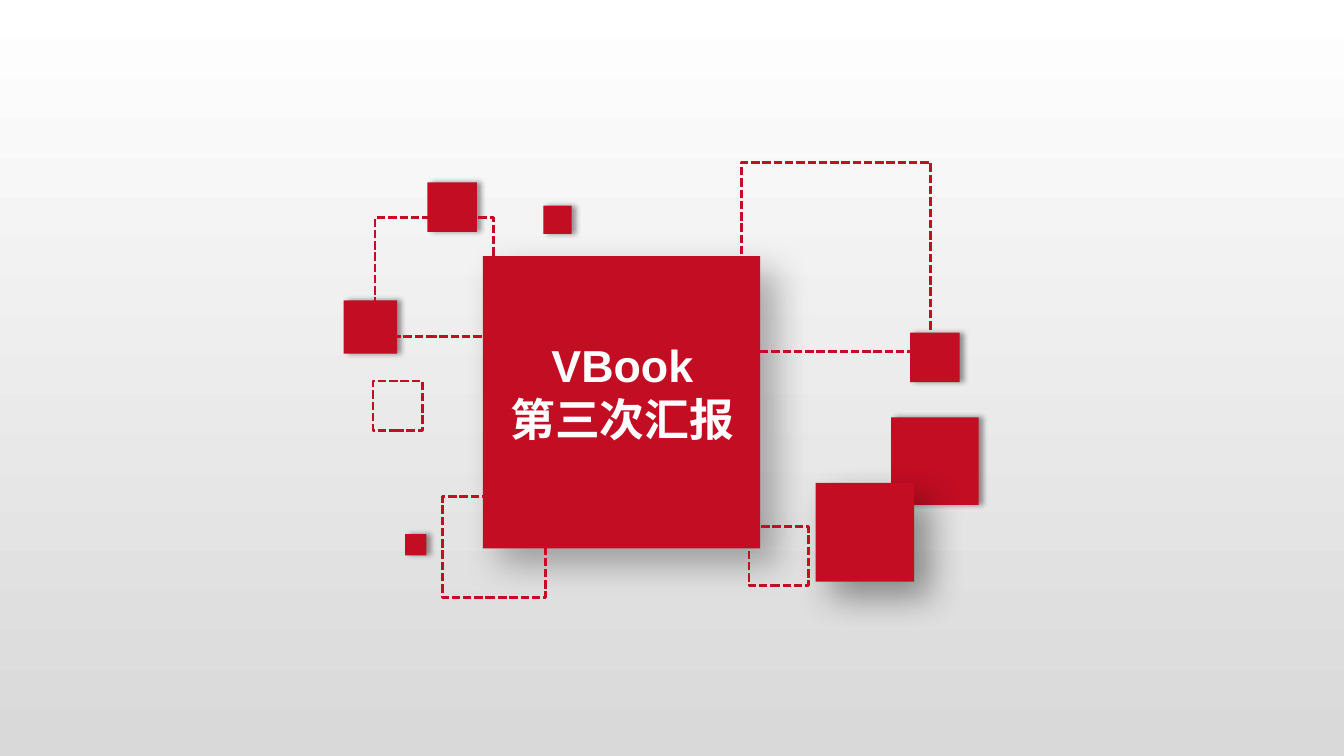
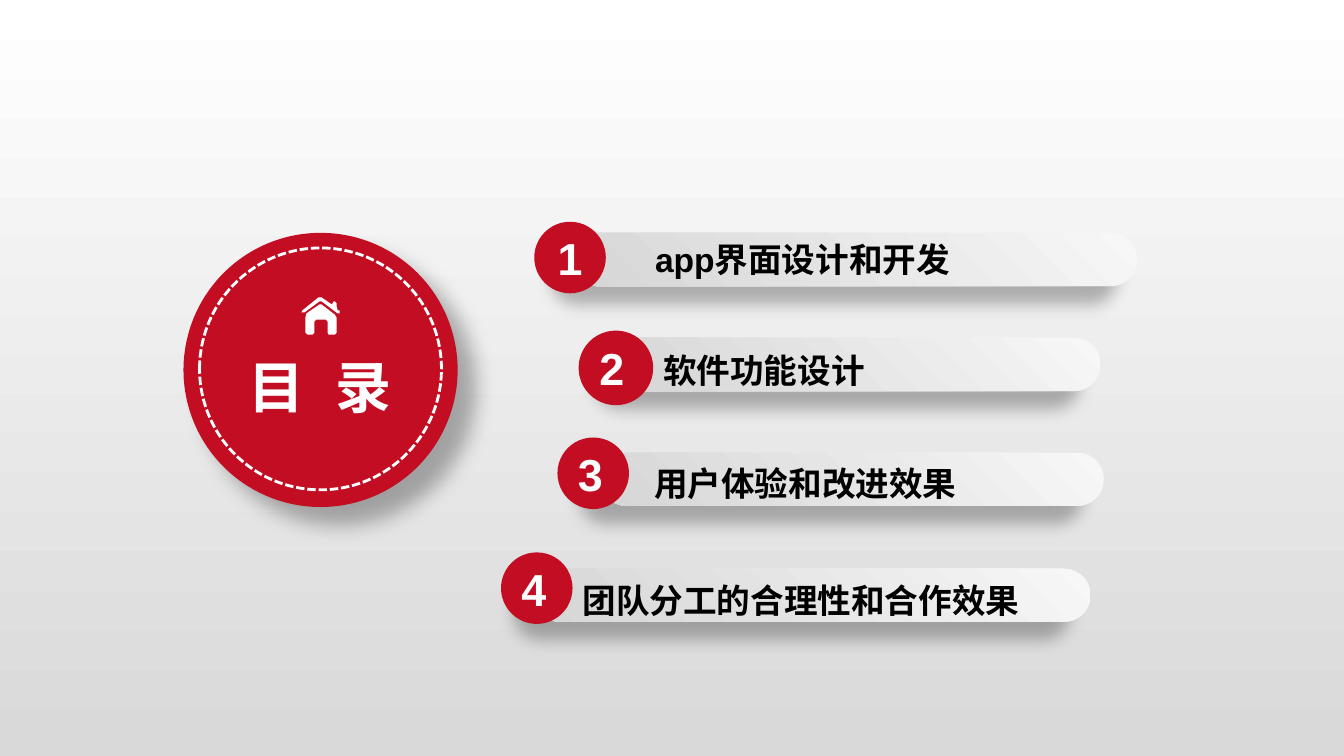
"""Builds a red-and-grey cover slide and its contents slide."""
from dataclasses import dataclass
from typing import Optional

from lxml import etree
from pptx import Presentation
from pptx.dml.color import RGBColor
from pptx.enum.dml import MSO_LINE
from pptx.enum.shapes import MSO_SHAPE
from pptx.enum.text import MSO_ANCHOR, PP_ALIGN
from pptx.oxml.ns import qn
from pptx.util import Inches, Pt

RECT, OVAL, PILL = MSO_SHAPE.RECTANGLE, MSO_SHAPE.OVAL, MSO_SHAPE.ROUNDED_RECTANGLE
LEFT, CENTER = PP_ALIGN.LEFT, PP_ALIGN.CENTER
TOP, MIDDLE = MSO_ANCHOR.TOP, MSO_ANCHOR.MIDDLE
DASH = MSO_LINE.SQUARE_DOT

COLORS = {
    "red": "C30D23", "white": "FFFFFF", "black": "000000",
    "page_end": "D9D9D9", "bar_start": "D6D6D6", "bar_end": "F7F7F7",
}
FONT = "Arial"
CELL = Inches(0.1)
COLUMNS, ROWS = 133.33, 75
BLANK = 6
BAR_HEIGHT, LABEL_HEIGHT = 5.3, 5.2


@dataclass(frozen=True)
class Box:
    """A rectangle in grid columns and rows."""
    left: float
    top: float
    width: float
    height: float

    def emu(self) -> tuple:
        """Return left, top, width and height as slide lengths."""
        return tuple(round(n * CELL) for n in (self.left, self.top, self.width, self.height))


@dataclass(frozen=True)
class Shadow:
    """An outer shadow: opacity in percent, blur and distance in points, angle in degrees."""
    opacity: int
    blur: float
    distance: float
    angle: int


@dataclass(frozen=True)
class Entry:
    """One line of the contents: bar, numbered disc and label."""
    bar_left: float
    bar_top: float
    bar_width: float
    disc: Box
    label_left: float
    label_top: float
    label_width: float
    text: str
    align: PP_ALIGN = LEFT


DEEP, SOFT = Shadow(30, 26, 16, 45), Shadow(40, 4, 3, 0)
DEEPER = Shadow(40, 26, 16, 45)
DISC_SHADOW, BAR_SHADOW = Shadow(30, 15, 18, 45), Shadow(28, 11.8, 19.7, 141)

SOLID_SQUARES = (
    (Box(47.9, 25.4, 27.5, 29), DEEP),
    (Box(88.4, 41.4, 8.7, 8.7), SOFT),
    (Box(80.9, 47.9, 9.8, 9.8), DEEPER),
    (Box(90.3, 33, 4.9, 4.9), SOFT),
    (Box(53.9, 20.4, 2.8, 2.8), SOFT),
    (Box(40.2, 53, 2.1, 2.1), SOFT),
    (Box(34.1, 29.8, 5.3, 5.3), SOFT),
    (Box(42.4, 18.1, 4.9, 4.9), SOFT),
)
DASHED_SQUARES = (
    Box(73.6, 16.1, 18.7, 18.8),
    Box(43.9, 49.3, 10.2, 10),
    Box(74.3, 52.2, 5.9, 5.9),
    Box(37, 37.8, 4.9, 4.9),
    Box(37.2, 21.6, 11.8, 11.8),
)
ENTRIES = (
    Entry(56.8, 23.1, 56, Box(53, 22, 7.1, 7.1), 64, 23.1, 35.7, "app界面设计和开发", CENTER),
    Entry(61.1, 33.5, 48.1, Box(57.4, 32.8, 7.4, 7.4), 64.8, 34.1, 39.4, "软件功能设计"),
    Entry(59.6, 44.9, 49.9, Box(55.3, 43.4, 7.1, 7.1), 63.9, 45.3, 39.4, "用户体验和改进效果"),
    Entry(53, 56.4, 55.2, Box(49.7, 54.8, 7.1, 7.1), 56.8, 56.9, 45.7, "团队分工的合理性和合作效果"),
)
HOUSE_WALLS = (
    (319, 302), (317, 302), (304, 311), (303, 315), (303, 330), (305, 332), (310, 332),
    (312, 330), (312, 319), (314, 317), (323, 317), (325, 319), (325, 330), (326, 332),
    (332, 332), (334, 330), (334, 315), (332, 312),
)
HOUSE_ROOF = (
    (335, 308), (334, 304), (334, 301), (332, 299), (331, 299), (330, 301), (329, 302),
    (319, 295), (316, 295), (300, 308), (299, 310), (302, 310), (317, 299), (319, 299),
    (335, 311), (337, 311), (337, 308),
)


def rgb(name: str) -> RGBColor:
    """Return a named colour."""
    return RGBColor.from_string(COLORS[name])


def set_gradient(fill, start: str, end: str, end_position: float) -> None:
    """Give a fill two gradient stops."""
    fill.gradient()
    for stop, color, position in zip(fill.gradient_stops, (start, end), (0, end_position)):
        stop.color.rgb = rgb(color)
        stop.position = position


def set_corner_gradient(sp) -> None:
    """Fill a bar with a gradient that spreads from its lower left corner."""
    set_gradient(sp.fill, "bar_start", "bar_end", 1)
    grad = sp.element.spPr.find(qn("a:gradFill"))
    spread = etree.Element(qn("a:path"), path="circle")
    etree.SubElement(spread, qn("a:fillToRect"), t="100000", r="100000")
    grad.replace(grad.find(qn("a:lin")), spread)


def set_shadow(sp, shadow: Optional[Shadow]) -> None:
    """Replace the theme shadow by the given one, or by none."""
    sp.shadow.inherit = False
    if shadow is None:
        return
    effects = sp.element.spPr.find(qn("a:effectLst"))
    outer = etree.SubElement(
        effects, qn("a:outerShdw"), blurRad=str(int(Pt(shadow.blur))),
        dist=str(int(Pt(shadow.distance))), dir=str(shadow.angle * 60000),
        algn="tl", rotWithShape="0")
    color = etree.SubElement(outer, qn("a:srgbClr"), val=COLORS["black"])
    etree.SubElement(color, qn("a:alpha"), val=str(shadow.opacity * 1000))


def add_block(slide, kind: MSO_SHAPE, box: Box, fill: Optional[str] = None,
              dashed: Optional[str] = None, shadow: Optional[Shadow] = None):
    """Add a preset shape with a plain fill or a dashed outline."""
    sp = slide.shapes.add_shape(kind, *box.emu())
    if fill:
        sp.fill.solid()
        sp.fill.fore_color.rgb = rgb(fill)
    else:
        sp.fill.background()
    if dashed:
        sp.line.color.rgb = rgb(dashed)
        sp.line.width = Pt(2)
        sp.line.dash_style = DASH
    else:
        sp.line.fill.background()
    set_shadow(sp, shadow)
    return sp


def write(sp, lines: tuple, size: int, color: str, align: PP_ALIGN = LEFT,
          anchor: MSO_ANCHOR = MIDDLE) -> None:
    """Write bold lines into a shape, one paragraph each."""
    tf = sp.text_frame
    tf.word_wrap = True
    tf.vertical_anchor = anchor
    for i, line in enumerate(lines):
        p = tf.add_paragraph() if i else tf.paragraphs[0]
        p.text = line
        p.alignment = align
        p.font.name = FONT
        p.font.size = Pt(size)
        p.font.bold = True
        p.font.color.rgb = rgb(color)


def add_text(slide, box: Box, lines: tuple, size: int, color: str,
             align: PP_ALIGN = LEFT, anchor: MSO_ANCHOR = MIDDLE):
    """Add a text box."""
    sp = slide.shapes.add_textbox(*box.emu())
    write(sp, lines, size, color, align, anchor)
    return sp


def add_house(slide) -> None:
    """Add the white house icon."""
    group = slide.shapes.add_group_shape()
    for outline in (HOUSE_WALLS, HOUSE_ROOF):
        builder = group.shapes.build_freeform(*outline[0], scale=CELL / 10)
        builder.add_line_segments(outline[1:], close=True)
        sp = builder.convert_to_shape()
        sp.fill.solid()
        sp.fill.fore_color.rgb = rgb("white")
        sp.line.fill.background()
        set_shadow(sp, None)


def add_entry(slide, number: int, entry: Entry) -> None:
    """Add one line of the contents."""
    bar = add_block(slide, PILL, Box(entry.bar_left, entry.bar_top, entry.bar_width, BAR_HEIGHT),
                    shadow=BAR_SHADOW)
    bar.adjustments[0] = 0.5
    set_corner_gradient(bar)
    disc = add_block(slide, OVAL, entry.disc, "red")
    write(disc, (str(number),), 32, "white", entry.align)
    add_text(slide, Box(entry.label_left, entry.label_top, entry.label_width, LABEL_HEIGHT),
             (entry.text,), 24, "black")


def build_cover(prs) -> None:
    """Build the cover slide."""
    s = prs.slides.add_slide(prs.slide_layouts[BLANK])
    for box, shadow in SOLID_SQUARES:
        add_block(s, RECT, box, "red", shadow=shadow)
    for box in DASHED_SQUARES:
        add_block(s, RECT, box, dashed="red")
    add_text(s, Box(44.8, 33, 33.9, 11.8), ("VBook", "第三次汇报"), 32, "white", CENTER, TOP)


def build_contents(prs) -> None:
    """Build the contents slide."""
    s = prs.slides.add_slide(prs.slide_layouts[BLANK])
    add_block(s, OVAL, Box(18.2, 23.1, 27.2, 27.2), "red", shadow=DISC_SHADOW)
    add_house(s)
    title = add_text(s, Box(23.7, 33.7, 19.7, 9.2), ("目录",), 40, "white")
    title.text_frame.word_wrap = False
    for props in title.element.iter(qn("a:defRPr")):
        props.set("spc", "2200")
    add_block(s, OVAL, Box(19.8, 24.6, 24, 24), dashed="white")
    for number, entry in enumerate(ENTRIES, 1):
        add_entry(s, number, entry)


def main() -> None:
    """Build and save the presentation."""
    prs = Presentation()
    prs.slide_width, prs.slide_height = round(COLUMNS * CELL), ROWS * CELL
    page = prs.slide_master.background.fill
    set_gradient(page, "white", "page_end", 0.99)
    page.gradient_angle = 270
    build_cover(prs)
    build_contents(prs)
    prs.save("out.pptx")


if __name__ == "__main__":
    main()
